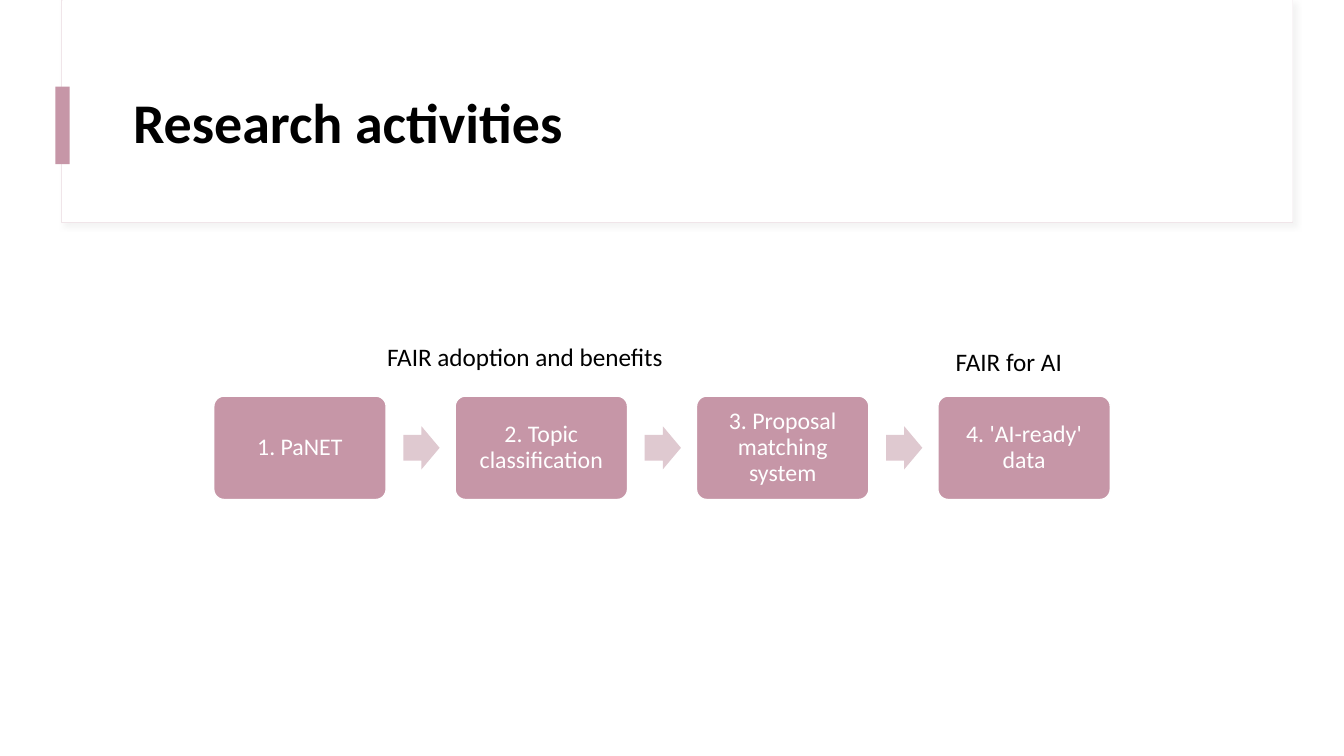
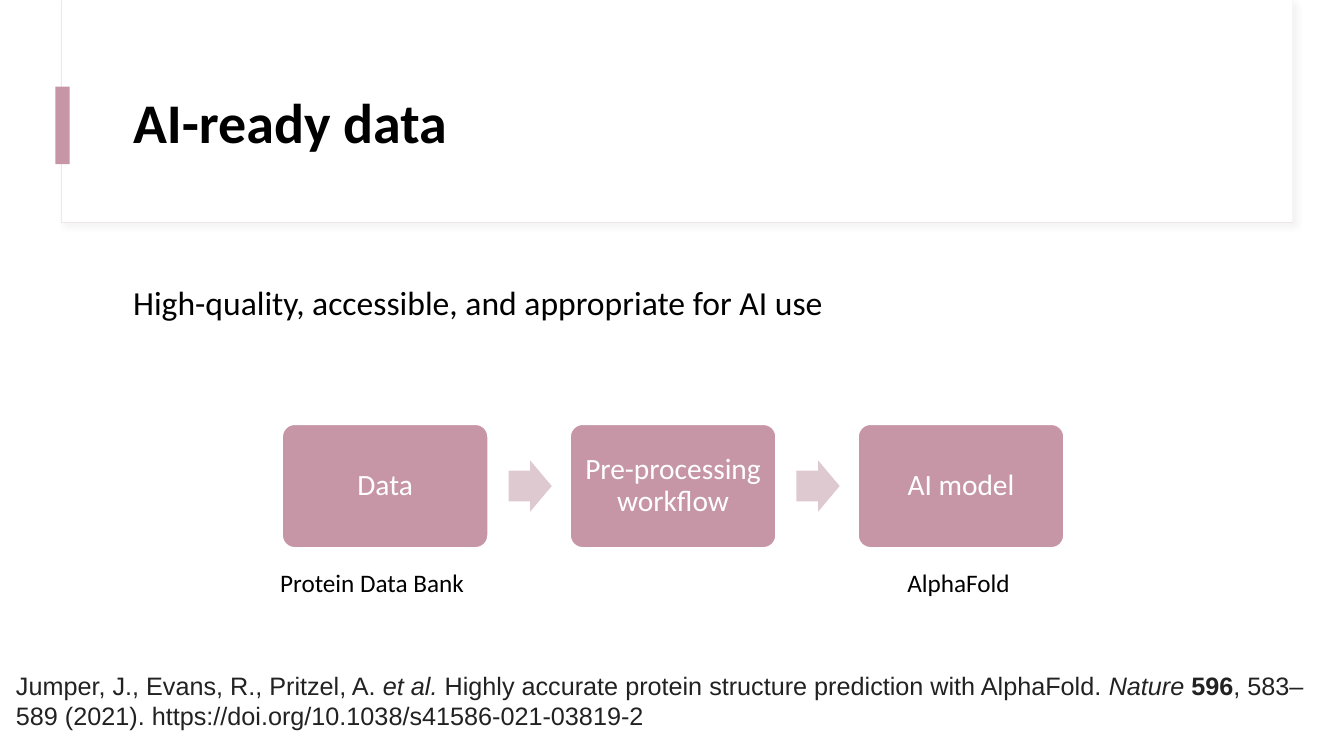
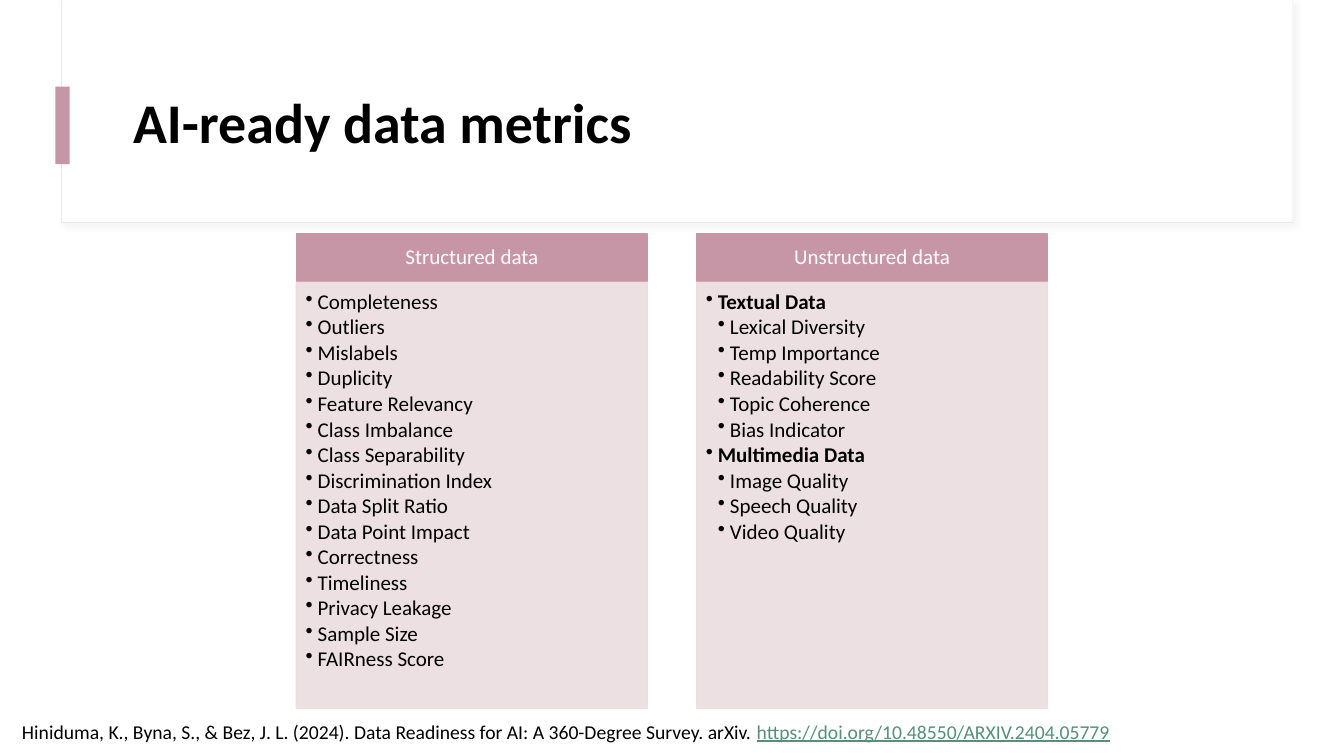
import pptx
import pptx.util
import pptx.dml.color
import pptx.enum.shapes
import pptx.enum.text
import pptx.oxml
import pptx.oxml.ns
import lxml.etree

Inches, Pt = pptx.util.Inches, pptx.util.Pt
SHAPE = pptx.enum.shapes.MSO_SHAPE
ALIGN = pptx.enum.text.PP_ALIGN
ANCHOR = pptx.enum.text.MSO_ANCHOR
qn = pptx.oxml.ns.qn

# Shared look
FONT = "Calibri"
ROSE, ARROW, PANEL, FRAME = "C696A7", "DFC9D0", "EADDE1", "F0E5E9"
BLACK, WHITE, LINK, CITE, SHADOW = "000000", "FFFFFF", "568F7C", "222222", "D9D9D9"
TITLE_AT = (1.22, 0.6, 11.12, 1.29)

# Content
ACTIVITIES = ["1. PaNET", "2. Topic classification", "3. Proposal matching system",
              "4. 'AI-ready' data"]
ACTIVITY_LABELS = [("FAIR for AI", (9.38, 3.39, 1.53, 0.4)),
                   ("FAIR adoption and benefits", (3.74, 3.34, 3.35, 0.4))]

SUMMARY = "High-quality, accessible, and appropriate for AI use"
PIPELINE = ["Data", "Pre-processing workflow", "AI model"]
PIPELINE_LABELS = [("Protein Data Bank", (2.68, 5.58, 2.31, 0.4)),
                   ("AlphaFold", (8.9, 5.58, 1.39, 0.4))]
JUMPER = [("Jumper, J., Evans, R., Pritzel, A. ", {}),
          ("et al.", {"italic": True}),
          (" Highly accurate protein structure prediction with AlphaFold. ", {}),
          ("Nature ", {"italic": True}),
          ("596", {"bold": True}),
          (", 583–589 (2021). https://doi.org/10.1038/s41586-021-03819-2", {})]

STRUCTURED = ["Completeness", "Outliers", "Mislabels", "Duplicity", "Feature Relevancy",
              "Class Imbalance", "Class Separability", "Discrimination Index",
              "Data Split Ratio", "Data Point Impact", "Correctness", "Timeliness",
              "Privacy Leakage", "Sample Size", "FAIRness Score"]
UNSTRUCTURED = {
    "Textual Data": ["Lexical Diversity", "Temp Importance", "Readability Score",
                     "Topic Coherence", "Bias Indicator"],
    "Multimedia Data": ["Image Quality", "Speech Quality", "Video Quality"],
}
HINIDUMA = [("Hiniduma, K., Byna, S., & Bez, J. L. (2024). Data Readiness for AI: "
             "A 360-Degree Survey. arXiv. ", {}),
            ("https://doi.org/10.48550/ARXIV.2404.05779", {"color": LINK, "underline": True})]


def rgb(color):
    return pptx.dml.color.RGBColor.from_string(color)


def write(tf, runs, level=0, bullet=False, align=ALIGN.LEFT, spacing=1.0, after=0,
          first=True, **style):
    """Add one paragraph; runs is a string or a list of (text, style)."""
    tf.word_wrap = True
    p = tf.paragraphs[0] if first else tf.add_paragraph()
    pPr = p._p.get_or_add_pPr()
    hang = Inches(0.12) if bullet else 0
    pPr.set("marL", str(hang * (level + 1)))
    pPr.set("indent", str(-hang))
    if bullet:
        lxml.etree.SubElement(pPr, qn("a:buChar"), char="•")
    else:
        lxml.etree.SubElement(pPr, qn("a:buNone"))
    p.level, p.alignment, p.line_spacing = level, align, spacing
    p.space_before, p.space_after = Pt(0), Pt(after)
    for text, extra in [(runs, {})] if isinstance(runs, str) else runs:
        look = {"size": 18, "color": BLACK, "font": FONT, "bold": False, **style, **extra}
        r = p.add_run()
        r.text = text
        r.font.name, r.font.size = look["font"], Pt(look["size"])
        r.font.color.rgb = rgb(look["color"])
        r.font.bold = look["bold"]
        r.font.italic = look.get("italic", False)
        r.font.underline = look.get("underline", False)


def frame(tf, anchor, margins=(0.1, 0.05, 0.1, 0.05)):
    tf.auto_size = pptx.enum.text.MSO_AUTO_SIZE.NONE
    tf.vertical_anchor = anchor
    tf.margin_left, tf.margin_top, tf.margin_right, tf.margin_bottom = map(Inches, margins)


def shape(s, kind, at, fill, line=None, width=1, adjust=()):
    sp = s.shapes.add_shape(kind, *map(Inches, at))
    sp.shadow.inherit = False
    sp.fill.solid()
    sp.fill.fore_color.rgb = rgb(fill)
    if line:
        sp.line.color.rgb = rgb(line)
        sp.line.width = Pt(width)
    else:
        sp.line.fill.background()
    for i, value in enumerate(adjust):
        sp.adjustments[i] = value
    return sp


def set_alpha(element, percent):
    for color in element.iter(qn("a:srgbClr")):
        lxml.etree.SubElement(color, qn("a:alpha"), val=str(percent * 1000))


def label(s, runs, at, anchor=ANCHOR.TOP, **style):
    tf = s.shapes.add_textbox(*map(Inches, at)).text_frame
    frame(tf, anchor)
    write(tf, runs, **style)


def fill_placeholder(ph, text, at, anchor, **style):
    ph.left, ph.top, ph.width, ph.height = map(Inches, at)
    frame(ph.text_frame, anchor)
    write(ph.text_frame, text, **style)


def new_slide(prs, layout, title):
    s = prs.slides.add_slide(prs.slide_layouts[layout])
    fill_placeholder(s.shapes.title, title, TITLE_AT, ANCHOR.MIDDLE,
                     size=40, bold=True, spacing=0.9)
    return s


def add_title_band(prs, s):
    """Draw the title band and move it to the master, for every slide."""
    outline = shape(s, SHAPE.RECTANGLE, (0.61, 0, 12.21, 2.21), WHITE, FRAME, 0.75)
    effects = outline._element.spPr.find(qn("a:effectLst"))
    shadow = lxml.etree.SubElement(effects, qn("a:outerShdw"), blurRad=str(Pt(4)),
                                   dist=str(Pt(3)), dir=str(45 * 60000))
    lxml.etree.SubElement(shadow, qn("a:srgbClr"), val=SHADOW)
    set_alpha(shadow, 30)
    cover = shape(s, SHAPE.RECTANGLE, (0.62, 0, 12.2, 2.2), WHITE)
    marker = shape(s, SHAPE.RECTANGLE, (0.55, 0.86, 0.14, 0.77), ROSE)
    tree = prs.slide_master.shapes._spTree
    for i, sp in enumerate((outline, cover, marker)):
        tree.insert(2 + i, sp._element)


def process(s, steps, left, top, w, size, margin):
    """Row of boxes with arrows between; all sizes follow the box width."""
    h, arrow_w, arrow_h = 0.6 * w, 0.21 * w, 0.25 * w
    for i, step in enumerate(steps):
        x = left + i * 1.4 * w
        box = shape(s, SHAPE.ROUNDED_RECTANGLE, (x, top, w, h), ROSE, WHITE, adjust=[0.1])
        frame(box.text_frame, ANCHOR.MIDDLE, [margin] * 4)
        write(box.text_frame, step, size=size, color=WHITE, align=ALIGN.CENTER, spacing=0.9)
        if i < len(steps) - 1:
            shape(s, SHAPE.RIGHT_ARROW, (x + 1.1 * w, top + (h - arrow_h) / 2, arrow_w, arrow_h),
                  ARROW, adjust=[0.6, 0.5])


def metric_column(s, heading, items, left):
    w = 3.48
    head = shape(s, SHAPE.RECTANGLE, (left, 2.32, w, 0.47), ROSE, ROSE)
    frame(head.text_frame, ANCHOR.MIDDLE, (0.12, 0.07, 0.12, 0.07))
    write(head.text_frame, heading, size=15, color=WHITE, align=ALIGN.CENTER, spacing=0.9)
    panel = shape(s, SHAPE.RECTANGLE, (left, 2.8, w, 4.23), PANEL, PANEL)
    set_alpha(panel._element.spPr, 90)
    frame(panel.text_frame, ANCHOR.TOP, (0.09, 0.09, 0.12, 0.13))
    for i, (text, level, bold) in enumerate(items):
        write(panel.text_frame, text, level=level, bullet=True, bold=bold, size=15,
              spacing=0.9, after=2, first=i == 0)


def main():
    prs = pptx.Presentation()
    prs.slide_width, prs.slide_height = Inches(13.33), Inches(7.5)

    # Research activities
    s = new_slide(prs, 5, "Research activities")
    add_title_band(prs, s)
    process(s, ACTIVITIES, 2.12, 3.93, 1.71, size=17, margin=0.07)
    for text, at in ACTIVITY_LABELS:
        label(s, text, at)

    # AI-ready data
    s = new_slide(prs, 1, "AI-ready data")
    fill_placeholder(s.placeholders[1], SUMMARY, (1.22, 2.71, 11.12, 0.87), ANCHOR.TOP,
                     size=24, spacing=1.1)
    process(s, PIPELINE, 2.8, 4.21, 2.04, size=21, margin=0.09)
    for text, at in PIPELINE_LABELS:
        label(s, text, at)
    label(s, JUMPER, (0.06, 6.59, 13.22, 0.71), ANCHOR.MIDDLE, font="Arial", color=CITE)

    # AI-ready data metrics
    s = new_slide(prs, 5, "AI-ready data metrics")
    metric_column(s, "Structured data", [(name, 0, False) for name in STRUCTURED], 2.94)
    grouped = []
    for group, names in UNSTRUCTURED.items():
        grouped += [(group, 0, True)] + [(name, 1, False) for name in names]
    metric_column(s, "Unstructured data", grouped, 6.91)
    label(s, HINIDUMA, (0.12, 7.09, 13.2, 0.34), size=14)

    prs.save("out.pptx")


if __name__ == "__main__":
    main()
